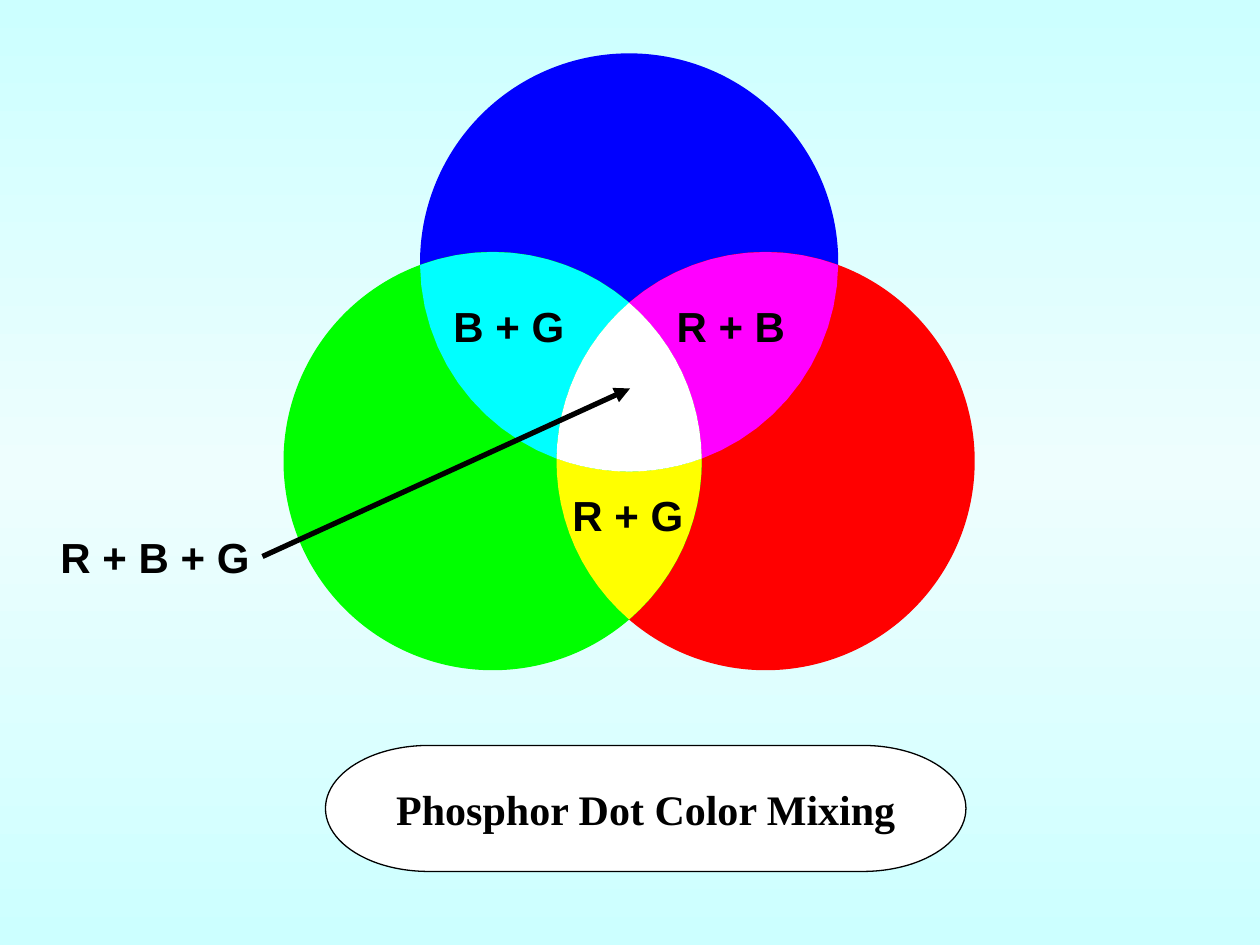
from math import atan2, cos, dist, hypot, pi, sin, tau

from lxml.etree import SubElement
from pptx import Presentation
from pptx.dml.color import RGBColor
from pptx.enum.shapes import MSO_CONNECTOR, MSO_SHAPE
from pptx.enum.text import MSO_ANCHOR, PP_ALIGN
from pptx.oxml.ns import qn
from pptx.util import Pt

BACKGROUND = [(0, "CCFFFF"), (50, "EEFEFE"), (100, "CCFFFF")]
RADIUS = 119.5
CENTERS = {"B": (359.5, 150), "R": (437.5, 263.5), "G": (281.5, 263.5)}
COLORS = {"B": "0000FF", "R": "FF0000", "G": "00FF00"}
OVERLAPS = [("BGR", "00FFFF"), ("RBG", "FF00FF"), ("RGB", "FFFF00")]
LABELS = [
    ("R + B", 379.5, 168, 76.5),
    ("B + G", 252, 168, 78),
    ("R + G", 320, 276, 78),
    ("R + B + G", 27.5, 300, 122.5),
]
LABEL_HEIGHT = 36
ARROW = (150, 318, 360, 222)
TITLE = "Phosphor Dot Color Mixing"
TITLE_BOX = (186, 426, 366, 72)
ARC_STEPS = 12


def rgb(value):
    return RGBColor.from_string(value)


def paint(sp, fill, line=None):
    sp.shadow.inherit = False
    sp.fill.solid()
    sp.fill.fore_color.rgb = rgb(fill)
    if line:
        sp.line.color.rgb = rgb(line)
        sp.line.width = Pt(0.75)
    else:
        sp.line.fill.background()


def write(sp, text, font, align):
    tf = sp.text_frame
    tf.word_wrap = False
    tf.text = text
    p = tf.paragraphs[0]
    p.alignment = align
    r = p.runs[0]
    r.font.name = font
    r.font.size = Pt(24)
    r.font.bold = True
    r.font.color.rgb = rgb("000000")


def crossings(a, b):
    (ax, ay), (bx, by) = CENTERS[a], CENTERS[b]
    dx, dy = bx - ax, by - ay
    d = hypot(dx, dy)
    h = (RADIUS**2 - d**2 / 4) ** 0.5 / d
    third = next(c for c in CENTERS if c not in (a, b))
    points = [((ax + bx) / 2 - k * dy, (ay + by) / 2 + k * dx) for k in (h, -h)]
    return sorted(points, key=lambda pt: dist(pt, CENTERS[third]))


def arc(circle, start, end):
    cx, cy = CENTERS[circle]
    a0 = atan2(start[1] - cy, start[0] - cx)
    a1 = atan2(end[1] - cy, end[0] - cx)
    sweep = (a1 - a0 + pi) % tau - pi
    angles = [a0 + sweep * i / ARC_STEPS for i in range(ARC_STEPS)]
    return [(cx + RADIUS * cos(t), cy + RADIUS * sin(t)) for t in angles]


def add_region(shapes, circles, corners, fill):
    ends = corners[1:] + corners[:1]
    points = [pt for c, p0, p1 in zip(circles, corners, ends) for pt in arc(c, p0, p1)]
    points = [(Pt(x), Pt(y)) for x, y in points]
    builder = shapes.build_freeform(*points[0])
    builder.add_line_segments(points[1:])
    paint(builder.convert_to_shape(), fill)


def set_background(s):
    fill = s.background.fill
    fill.gradient()
    fill.gradient_angle = 270
    stops = s.background._cSld.find(".//" + qn("a:gsLst"))
    for gs in list(stops):
        stops.remove(gs)
    for pos, color in BACKGROUND:
        gs = SubElement(stops, qn("a:gs"), pos=str(pos * 1000))
        SubElement(gs, qn("a:srgbClr"), val=color)


def main():
    prs = Presentation()
    prs.slide_width, prs.slide_height = Pt(720), Pt(540)
    s = prs.slides.add_slide(prs.slide_layouts[6])
    shapes = s.shapes
    set_background(s)

    for name, (x, y) in CENTERS.items():
        box = (x - RADIUS, y - RADIUS, 2 * RADIUS, 2 * RADIUS)
        paint(shapes.add_shape(MSO_SHAPE.OVAL, *map(Pt, box)), COLORS[name])

    for (a, b, c), fill in OVERLAPS:
        corners = [crossings(a, b)[1], crossings(a, c)[0], crossings(b, c)[0]]
        add_region(shapes, (a, c, b), corners, fill)
    inner = [crossings(*pair)[0] for pair in ("GR", "RB", "BG")]
    add_region(shapes, "RBG", inner, "FFFFFF")

    for text, x, y, width in LABELS:
        tb = shapes.add_textbox(Pt(x), Pt(y), Pt(width), Pt(LABEL_HEIGHT))
        write(tb, text, "Arial", PP_ALIGN.LEFT)

    arrow = shapes.add_connector(MSO_CONNECTOR.STRAIGHT, *map(Pt, ARROW))
    arrow.line.color.rgb = rgb("000000")
    arrow.line.width = Pt(3)
    SubElement(arrow.line._get_or_add_ln(), qn("a:tailEnd"), type="triangle")
    SubElement(arrow._element.spPr, qn("a:effectLst"))

    sp = shapes.add_shape(MSO_SHAPE.FLOWCHART_TERMINATOR, *map(Pt, TITLE_BOX))
    paint(sp, "FFFFFF", "000000")
    write(sp, TITLE, "Times New Roman", PP_ALIGN.CENTER)
    sp.text_frame.vertical_anchor = MSO_ANCHOR.MIDDLE

    prs.save("out.pptx")


if __name__ == "__main__":
    main()
